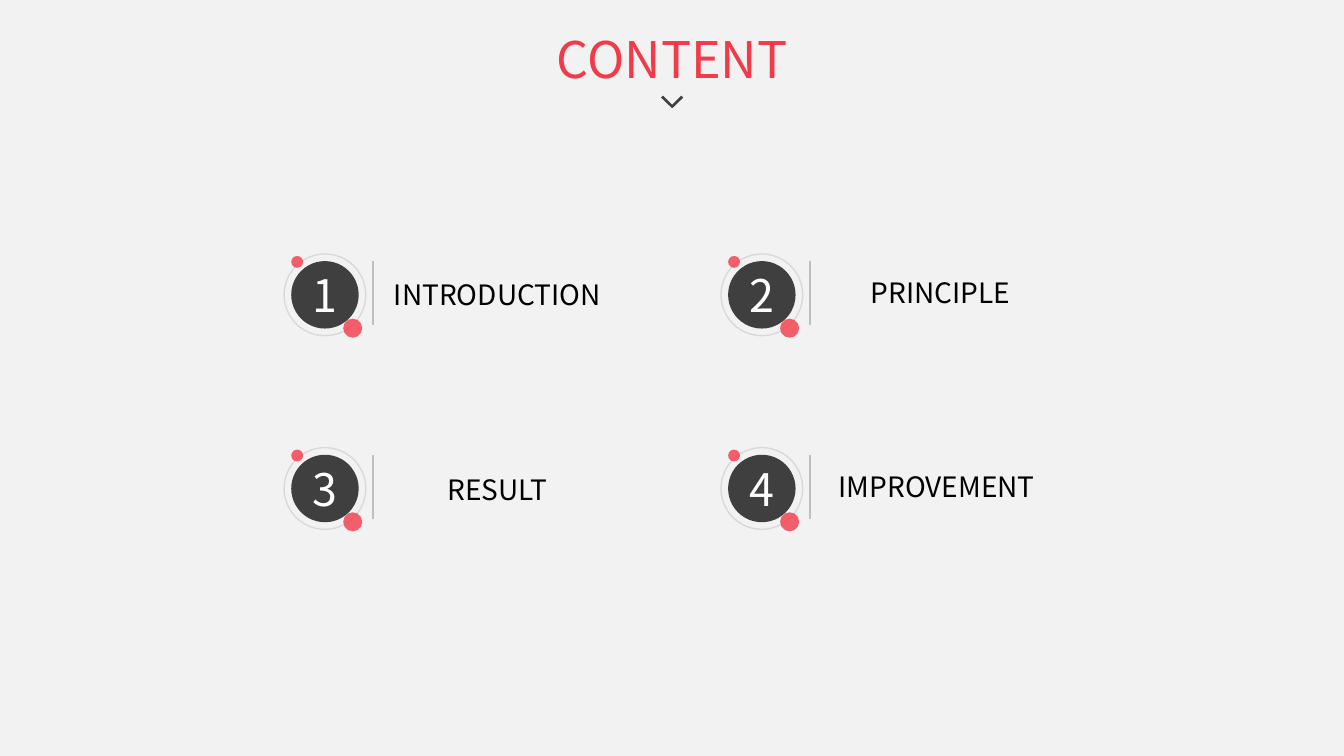
from lxml.etree import SubElement
from pptx import Presentation
from pptx.dml.color import RGBColor
from pptx.enum.shapes import MSO_CONNECTOR, MSO_SHAPE
from pptx.enum.text import MSO_ANCHOR, MSO_AUTO_SIZE, PP_ALIGN
from pptx.oxml.ns import qn
from pptx.util import Cm, Pt

RED = RGBColor(0xF2, 0x3B, 0x48)
DARK = RGBColor(0x3F, 0x3F, 0x3F)
RING = RGBColor(0xD9, 0xD9, 0xD9)
RULE = RGBColor(0xBF, 0xBF, 0xBF)
PAPER = RGBColor(0xF2, 0xF2, 0xF2)
WHITE = RGBColor(0xFF, 0xFF, 0xFF)
BLACK = RGBColor(0x00, 0x00, 0x00)
FONT = "Noto Sans CJK SC"

LEFT, TOP = 7.16, 6.4
COLUMN_STEP, ROW_STEP = 11.01, 4.88
ITEMS = [
    ("INTRODUCTION", 9.4, 6.88, 6.27),
    ("PRINCIPLE", 20.24, 6.83, 6.93),
    ("RESULT", 9.4, 11.79, 6.27),
    ("IMPROVEMENT", 20.47, 11.71, 6.27),
]


def write(tf, text, size, color):
    """Put one centred line of text in a text frame."""
    p = tf.paragraphs[0]
    p.text = text
    p.alignment = PP_ALIGN.CENTER
    p.font.name = FONT
    p.font.size = Pt(size)
    p.font.color.rgb = color


def add_label(shapes, text, x, y, w, h, size, color):
    """Add a wrapping text box that grows with its text."""
    tf = shapes.add_textbox(Cm(x), Cm(y), Cm(w), Cm(h)).text_frame
    tf.word_wrap = True
    tf.auto_size = MSO_AUTO_SIZE.SHAPE_TO_FIT_TEXT
    write(tf, text, size, color)


def add_circle(shapes, x, y, d, fill=None, line=None, alpha=None):
    """Add a circle with an optional fill, outline and opacity percentage."""
    sp = shapes.add_shape(MSO_SHAPE.OVAL, Cm(x), Cm(y), Cm(d), Cm(d))
    sp.shadow.inherit = False
    if fill is None:
        sp.fill.background()
    else:
        sp.fill.solid()
        sp.fill.fore_color.rgb = fill
    if line is None:
        sp.line.fill.background()
    else:
        sp.line.color.rgb = line
        sp.line.width = Pt(1)
    if alpha is not None:
        clr = sp.element.spPr.find(qn("a:solidFill")).find(qn("a:srgbClr"))
        SubElement(clr, qn("a:alpha")).set("val", str(alpha * 1000))
    return sp


def add_rule(shapes, x, y, length):
    """Add a thin vertical line."""
    line = shapes.add_connector(
        MSO_CONNECTOR.STRAIGHT, Cm(x), Cm(y), Cm(x), Cm(y + length))
    line.line.color.rgb = RULE
    line.line.width = Pt(1)
    SubElement(line.element.spPr, qn("a:effectLst"))


def add_item(s, number, x, y, label):
    """Add a numbered badge with its rule and label as one group."""
    shapes = s.shapes.add_group_shape().shapes
    disc = add_circle(shapes, x + 0.18, y + 0.18, 1.7, fill=DARK)
    disc.text_frame.vertical_anchor = MSO_ANCHOR.MIDDLE
    write(disc.text_frame, str(number), 32, WHITE)
    add_circle(shapes, x, y, 2.06, line=RING)
    add_circle(shapes, x + 1.49, y + 1.63, 0.48, fill=RED, alpha=80)
    add_circle(shapes, x + 0.18, y + 0.05, 0.3, fill=RED, alpha=80)
    text, label_x, label_y, label_w = label
    add_label(shapes, text, label_x, label_y, label_w, 1.12, 20, BLACK)
    add_rule(shapes, x + 2.24, y + 0.18, 1.62)


def add_chevron(s, x, y):
    """Add a downward chevron whose top is centred on x, y."""
    outline = [(0.23, 0), (0.28, 0.05), (0, 0.32),
               (-0.28, 0.05), (-0.23, 0), (0, 0.23)]
    points = [(Cm(x + dx), Cm(y + dy)) for dx, dy in outline]
    fb = s.shapes.build_freeform(*points[0])
    fb.add_line_segments(points[1:], close=True)
    sp = fb.convert_to_shape()
    sp.shadow.inherit = False
    sp.fill.solid()
    sp.fill.fore_color.rgb = DARK
    sp.line.fill.background()


def main():
    """Build the content slide and save it."""
    prs = Presentation()
    prs.slide_width, prs.slide_height = Cm(33.87), Cm(19.05)
    s = prs.slides.add_slide(prs.slide_layouts[6])
    s.background.fill.solid()
    s.background.fill.fore_color.rgb = PAPER
    for i, label in enumerate(ITEMS):
        row, column = divmod(i, 2)
        add_item(s, i + 1, LEFT + column * COLUMN_STEP,
                 TOP + row * ROW_STEP, label)
    add_label(s.shapes, "CONTENT", 13.31, 0.58, 7.26, 1.8, 36, RED)
    add_chevron(s, 16.94, 2.41)
    prs.save("out.pptx")


if __name__ == "__main__":
    main()
